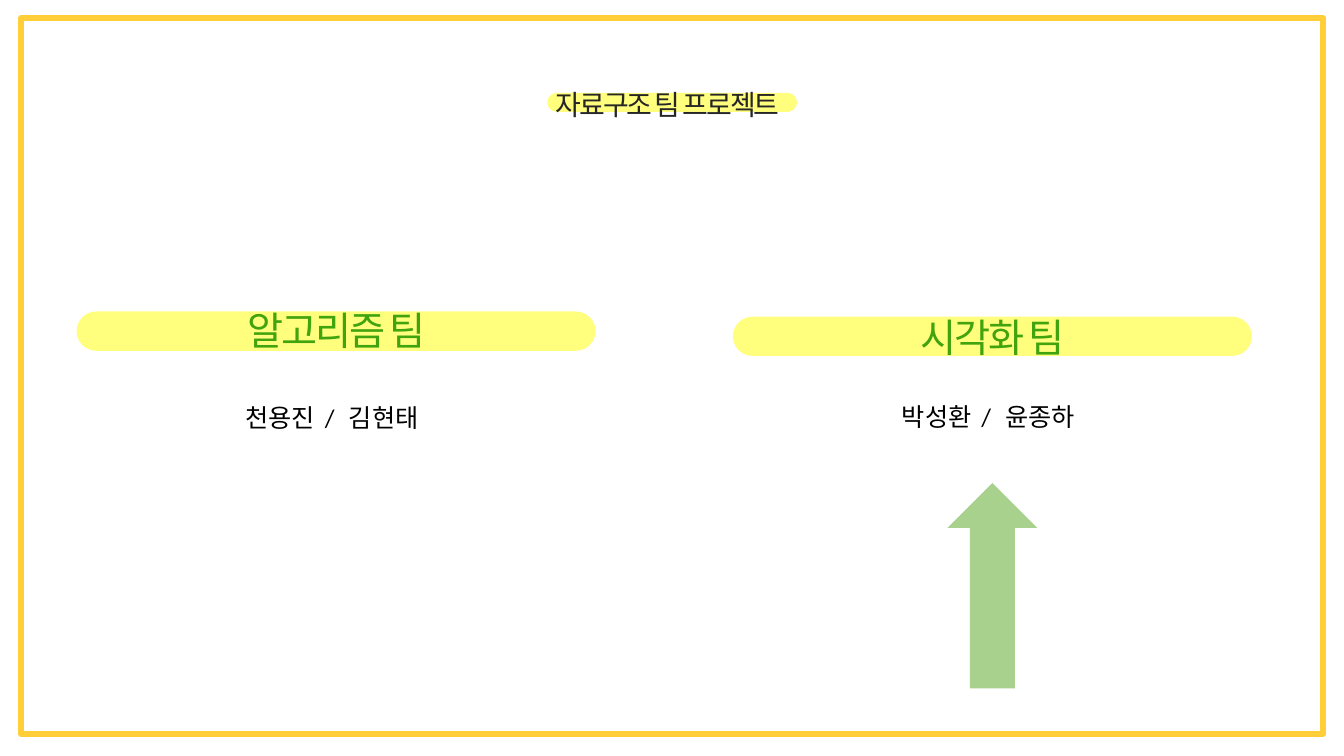
import lxml.etree
import pptx
import pptx.dml.color
import pptx.enum.shapes
import pptx.enum.text
import pptx.oxml.ns
import pptx.util

Cm = pptx.util.Cm
Pt = pptx.util.Pt
SHAPES = pptx.enum.shapes.MSO_SHAPE
ALIGN = pptx.enum.text.PP_ALIGN
SEPARATOR = " / "


def rgb(code):
    return pptx.dml.color.RGBColor.from_string(code)


def place(part, box):
    part.left, part.top, part.width, part.height = (Cm(length) for length in box)


def add_panel(slide, kind, box, fill=None, line=None, line_width=0):
    panel = slide.shapes.add_shape(kind, *(Cm(length) for length in box))
    panel.shadow.inherit = False
    if fill:
        panel.fill.solid()
        panel.fill.fore_color.rgb = rgb(fill)
    else:
        panel.fill.background()
    if line:
        panel.line.color.rgb = rgb(line)
        panel.line.width = Pt(line_width)
    else:
        panel.line.fill.background()
    return panel


def add_highlight(slide, box):
    highlight = add_panel(slide, SHAPES.ROUNDED_RECTANGLE, box, fill="FFFF00")
    highlight.adjustments[0] = 0.5
    color = highlight.fill._xPr.find(".//" + pptx.oxml.ns.qn("a:srgbClr"))
    lxml.etree.SubElement(color, pptx.oxml.ns.qn("a:alpha"), val="51000")


def write_text(holder, pieces, size, color, align=ALIGN.LEFT):
    """Fill a text holder with (text, letter spacing in points) pieces."""
    frame = holder.text_frame
    frame.word_wrap = True
    frame.auto_size = pptx.enum.text.MSO_AUTO_SIZE.SHAPE_TO_FIT_TEXT
    frame.vertical_anchor = pptx.enum.text.MSO_ANCHOR.TOP
    paragraph = frame.paragraphs[0]
    paragraph.alignment = align
    for text, spacing in pieces:
        run = paragraph.add_run()
        run.text = text
        run.font.name = "Calibri"
        run.font.size = Pt(size)
        run.font.color.rgb = rgb(color)
        if spacing:
            run.font._element.set("spc", str(round(spacing * 100)))


def add_text(slide, box, pieces, **text_format):
    holder = slide.shapes.add_textbox(*(Cm(length) for length in box))
    write_text(holder, pieces, **text_format)


def add_title(slide, box, text):
    title = slide.shapes.title
    title.element.getparent().append(title.element)
    place(title, box)
    write_text(title, [(text, -1.5)], size=20, color="262626", align=ALIGN.CENTER)


def add_team(slide, name, members, highlight_at, name_at, members_at):
    add_highlight(slide, (*highlight_at, 13.08, 0.99))
    add_text(slide, (*name_at, 13.51, 1.45), [(name, -1.5)],
             size=28, color="41A30D", align=ALIGN.CENTER)
    first, second = members
    add_text(slide, (*members_at, 5.08, 1.02),
             [(first, 0), (SEPARATOR, 3), (second, 0)], size=18, color="000000")


def main():
    deck = pptx.Presentation()
    deck.slide_width, deck.slide_height = Cm(33.87), Cm(19.05)
    slide = deck.slides.add_slide(deck.slide_layouts.get_by_name("Title Only"))

    add_highlight(slide, (13.79, 2.34, 6.3, 0.48))
    add_title(slide, (12.95, 2.08, 7.75, 1.12), "자료구조 팀 프로젝트")
    add_panel(slide, SHAPES.RECTANGLE, (0.53, 0.46, 32.82, 18.03),
              line="FFCE38", line_width=4.25)
    add_team(slide, "알고리즘 팀", ("천용진", "김현태"),
             (1.93, 7.85), (1.73, 7.59), (5.94, 10.01))
    add_team(slide, "시각화 팀", ("박성환", "윤종하"),
             (18.47, 7.98), (18.26, 7.77), (22.48, 9.98))
    add_panel(slide, SHAPES.UP_ARROW, (23.88, 12.17, 2.26, 5.18), fill="A9D18E")

    deck.save("out.pptx")


if __name__ == "__main__":
    main()
